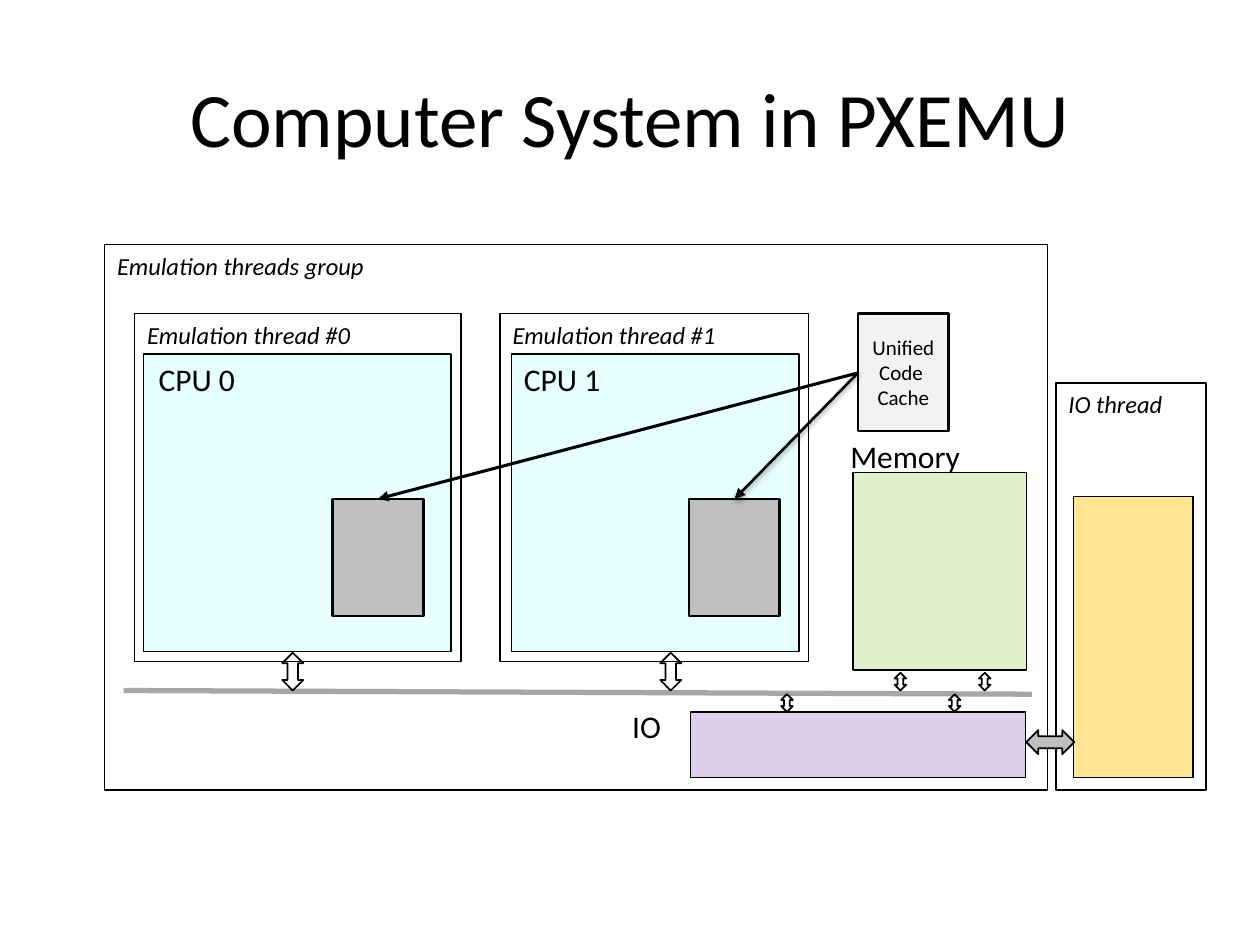
from lxml.etree import SubElement
from pptx import Presentation
from pptx.dml.color import RGBColor
from pptx.enum.shapes import MSO_CONNECTOR, MSO_SHAPE
from pptx.enum.text import MSO_ANCHOR, MSO_AUTO_SIZE, PP_ALIGN
from pptx.oxml.ns import qn
from pptx.util import Pt

FONT = "Calibri"
COLORS = {
    "ink": "000000",
    "bus": "A6A6A6",
    "cpu": "CCFFFF",
    "memory": "92D050",
    "io": "7030A0",
    "device": "FFC000",
    "cache": "BFBFBF",
    "unified": "F2F2F2",
}


def rgb(name):
    return RGBColor.from_string(COLORS[name])


def style_paragraph(p, size, italic=False, align=PP_ALIGN.LEFT):
    p.alignment = align
    p.font.name = FONT
    p.font.size = Pt(size)
    p.font.italic = italic
    p.font.color.rgb = rgb("ink")


def add_title(s, text):
    title = s.shapes.title
    title.left, title.top, title.width, title.height = Pt(36), Pt(21.6), Pt(648), Pt(90)
    tf = title.text_frame
    tf.text = text
    tf.vertical_anchor = MSO_ANCHOR.MIDDLE
    style_paragraph(tf.paragraphs[0], 44, align=PP_ALIGN.CENTER)


def add_box(s, x, y, w, h, fill=None, opacity=100, line=0.75, kind=MSO_SHAPE.RECTANGLE):
    sp = s.shapes.add_shape(kind, Pt(x), Pt(y), Pt(w), Pt(h))
    sp.shadow.inherit = False
    sp.line.color.rgb = rgb("ink")
    sp.line.width = Pt(line)
    if fill is None:
        sp.fill.background()
        return sp
    sp.fill.solid()
    sp.fill.fore_color.rgb = rgb(fill)
    if opacity < 100:
        color = sp.fill._xPr.find(qn("a:solidFill"))[0]
        SubElement(color, qn("a:alpha"), val=str(opacity * 1000))
    return sp


def add_frame(s, x, y, w, h, caption):
    tf = add_box(s, x, y, w, h).text_frame
    tf.text = caption
    tf.vertical_anchor = MSO_ANCHOR.TOP
    style_paragraph(tf.paragraphs[0], 14, italic=True)


def add_unified_cache(s, x, y, w, h):
    tf = add_box(s, x, y, w, h, "unified", line=1.5).text_frame
    tf.text = "Unified Code \nCache"
    tf.vertical_anchor = MSO_ANCHOR.MIDDLE
    for p in tf.paragraphs:
        style_paragraph(p, 12, align=PP_ALIGN.CENTER)


def add_label(s, x, y, w, text):
    tf = s.shapes.add_textbox(Pt(x), Pt(y), Pt(w), Pt(29)).text_frame
    tf.word_wrap = True
    tf.auto_size = MSO_AUTO_SIZE.SHAPE_TO_FIT_TEXT
    tf.text = text
    style_paragraph(tf.paragraphs[0], 18)


def add_double_arrow(s, x, y, w, h, fill=None, rotation=0):
    sp = add_box(s, x, y, w, h, fill, line=1, kind=MSO_SHAPE.UP_DOWN_ARROW)
    sp.rotation = rotation


def add_line(s, start, end, color, width, arrow=False, shadow=False):
    cx = s.shapes.add_connector(MSO_CONNECTOR.STRAIGHT, *map(Pt, start + end))
    cx.line.color.rgb = rgb(color)
    cx.line.width = Pt(width)
    if arrow:
        SubElement(cx.line._get_or_add_ln(), qn("a:tailEnd"), type="triangle")
    effects = SubElement(cx._element.spPr, qn("a:effectLst"))
    if shadow:
        outer = SubElement(effects, qn("a:outerShdw"), blurRad=str(Pt(3.1)),
                           dist=str(Pt(1.6)), dir="5400000", rotWithShape="0")
        color = SubElement(outer, qn("a:srgbClr"), val=COLORS["ink"])
        SubElement(color, qn("a:alpha"), val="38000")


def main():
    prs = Presentation()
    prs.slide_width, prs.slide_height = Pt(720), Pt(540)
    s = prs.slides.add_slide(prs.slide_layouts[5])
    add_title(s, "Computer System in PXEMU")

    add_frame(s, 59.8, 139.7, 538.6, 311.8, "Emulation threads group")
    add_frame(s, 603.4, 218.9, 85.7, 232.6, "IO thread")
    add_box(s, 613.4, 283.7, 68.4, 160.6, "device", 42)
    add_box(s, 487.4, 270, 99.4, 113, "memory", 29)
    add_box(s, 394.6, 406.8, 191.5, 37.4, "io", 23)
    add_line(s, (70.6, 394.6), (589.7, 396.7), "bus", 3)

    threads = [
        (77, 186.5, 82.1, 175.7, 83.5, 190.1, 161.3),
        (285.8, 176.4, 292.3, 164.2, 292.3, 393.8, 377.3),
    ]
    for i, (x, w, cpu_x, cpu_w, label_x, cache_x, arrow_x) in enumerate(threads):
        add_box(s, cpu_x, 202.3, cpu_w, 170, "cpu", 44)
        add_frame(s, x, 179.3, w, 198.7, f"Emulation thread #{i}")
        add_box(s, cache_x, 285.1, 51.8, 67, "cache", line=1.5)
        add_label(s, label_x, 202.3, 68, f"CPU {i}")
        add_double_arrow(s, arrow_x, 373, 12, 21.6)

    for x, y in [(511.2, 384.5), (559.4, 384.5), (446.4, 396.7), (542.2, 396.7)]:
        add_double_arrow(s, x, y, 6.6, 10.1)
    add_double_arrow(s, 593.3, 410.4, 13.7, 27.4, "cache", rotation=90)

    add_label(s, 478.8, 246.2, 88.6, "Memory")
    add_label(s, 354.2, 400.3, 45.4, "IO")
    add_unified_cache(s, 490.3, 179.3, 51.8, 67)
    source = (490.3, 213.1)
    add_line(s, source, (419.8, 285.1), "ink", 1.5, arrow=True, shadow=True)
    add_line(s, source, (216, 285.1), "ink", 1.75, arrow=True)

    prs.save("out.pptx")


if __name__ == "__main__":
    main()
